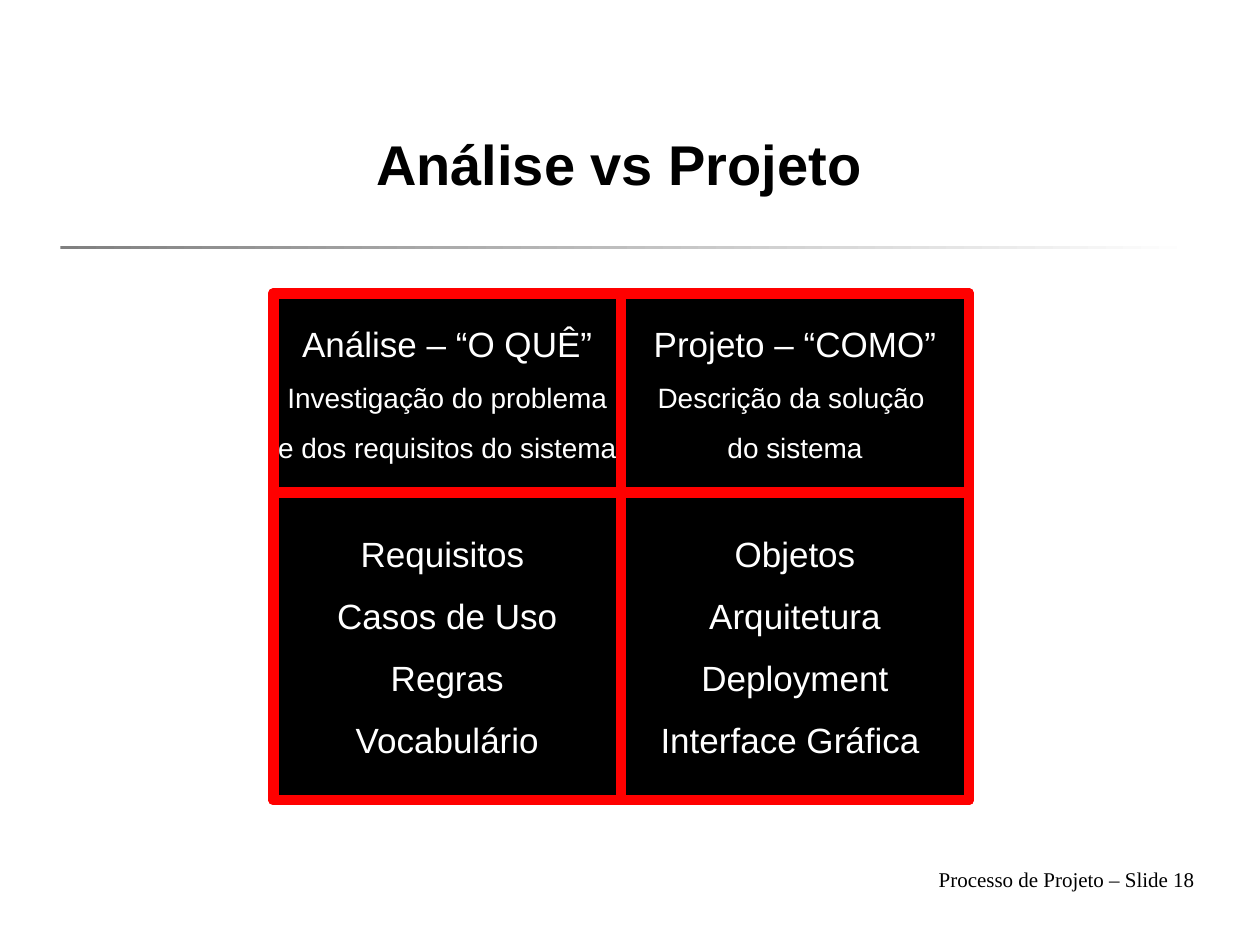
from pptx import Presentation
from pptx.dml.color import RGBColor
from pptx.enum.shapes import MSO_SHAPE as Shape
from pptx.enum.text import MSO_ANCHOR as Anchor, PP_ALIGN as Align
from pptx.util import Inches, Pt

COLORS = {"ink": "000000", "paper": "FFFFFF", "border": "FF0000", "rule": "808080"}
LARGE, SMALL = 20, 16
COLUMN_WIDTH = 2.76
ROW_HEIGHTS = (1.58, 2.44)
MATRIX = [
    [
        [("Análise – “O QUÊ”", LARGE), ("Investigação do problema", SMALL),
         ("e dos requisitos do sistema", SMALL)],
        [("Projeto – “COMO”", LARGE), ("Descrição da solução ", SMALL),
         ("do sistema", SMALL)],
    ],
    [
        [(topic, LARGE) for topic in ("Requisitos ", "Casos de Uso", "Regras", "Vocabulário")],
        [(topic, LARGE) for topic in ("Objetos", "Arquitetura", "Deployment", "Interface Gráfica ")],
    ],
]


def color(name):
    return RGBColor.from_string(COLORS[name])


def inches(box):
    return [Inches(length) for length in box]


def write(paragraph, wording, size, ink, align, face="Arial", bold=False):
    paragraph.text = wording
    paragraph.alignment = align
    font = paragraph.font
    font.name, font.size, font.bold = face, Pt(size), bold
    font.color.rgb = color(ink)


def add_heading(slide, box):
    heading = slide.shapes.title
    heading.left, heading.top, heading.width, heading.height = inches(box)
    heading.text_frame.vertical_anchor = Anchor.MIDDLE
    write(heading.text_frame.paragraphs[0], "Análise vs Projeto", 32, "ink",
          Align.CENTER, bold=True)


def add_fading_rule(slide, box):
    rule = slide.shapes.add_shape(Shape.RECTANGLE, *inches(box))
    rule.shadow.inherit = False
    rule.line.fill.background()
    rule.fill.gradient()
    rule.fill.gradient_angle = 0
    for stop, name in zip(rule.fill.gradient_stops, ("rule", "paper")):
        stop.color.rgb = color(name)


def add_panel(group, box):
    panel = group.shapes.add_shape(Shape.RECTANGLE, *inches(box))
    panel.shadow.inherit = False
    panel.fill.solid()
    panel.fill.fore_color.rgb = color("ink")
    panel.line.color.rgb = color("border")
    panel.line.width = Pt(6)
    return panel


def add_cell(group, box, lines):
    frame = add_panel(group, box).text_frame
    frame.word_wrap = False
    frame.vertical_anchor = Anchor.MIDDLE
    for index, (wording, size) in enumerate(lines):
        paragraph = frame.add_paragraph() if index else frame.paragraphs[0]
        write(paragraph, wording, size, "paper", Align.CENTER)
        # Half of a line, which is 1.15 times the font size
        paragraph.space_before = Pt(size * 1.15 / 2)


def add_matrix(slide, left, top):
    group = slide.shapes.add_group_shape()
    add_panel(group, (left, top, 2 * COLUMN_WIDTH, sum(ROW_HEIGHTS)))
    for row, height in zip(MATRIX, ROW_HEIGHTS):
        for column, lines in enumerate(row):
            add_cell(group, (left + column * COLUMN_WIDTH, top, COLUMN_WIDTH, height), lines)
        top += height


def add_footer(slide, box):
    frame = slide.shapes.add_textbox(*inches(box)).text_frame
    frame.word_wrap = True
    write(frame.paragraphs[0], "Processo de Projeto – Slide 18", 12, "ink",
          Align.RIGHT, face="Times New Roman")


def main():
    deck = Presentation()
    deck.slide_width, deck.slide_height = Inches(10), Inches(7.5)
    slide = deck.slides.add_slide(deck.slide_layouts.get_by_name("Title Only"))
    add_fading_rule(slide, (0.48, 1.95, 9, 0.03))
    add_footer(slide, (6.5, 6.83, 3.08, 0.52))
    add_matrix(slide, 2.17, 2.33)
    add_heading(slide, (1.58, 0.67, 6.67, 1.25))
    deck.save("out.pptx")


if __name__ == "__main__":
    main()
